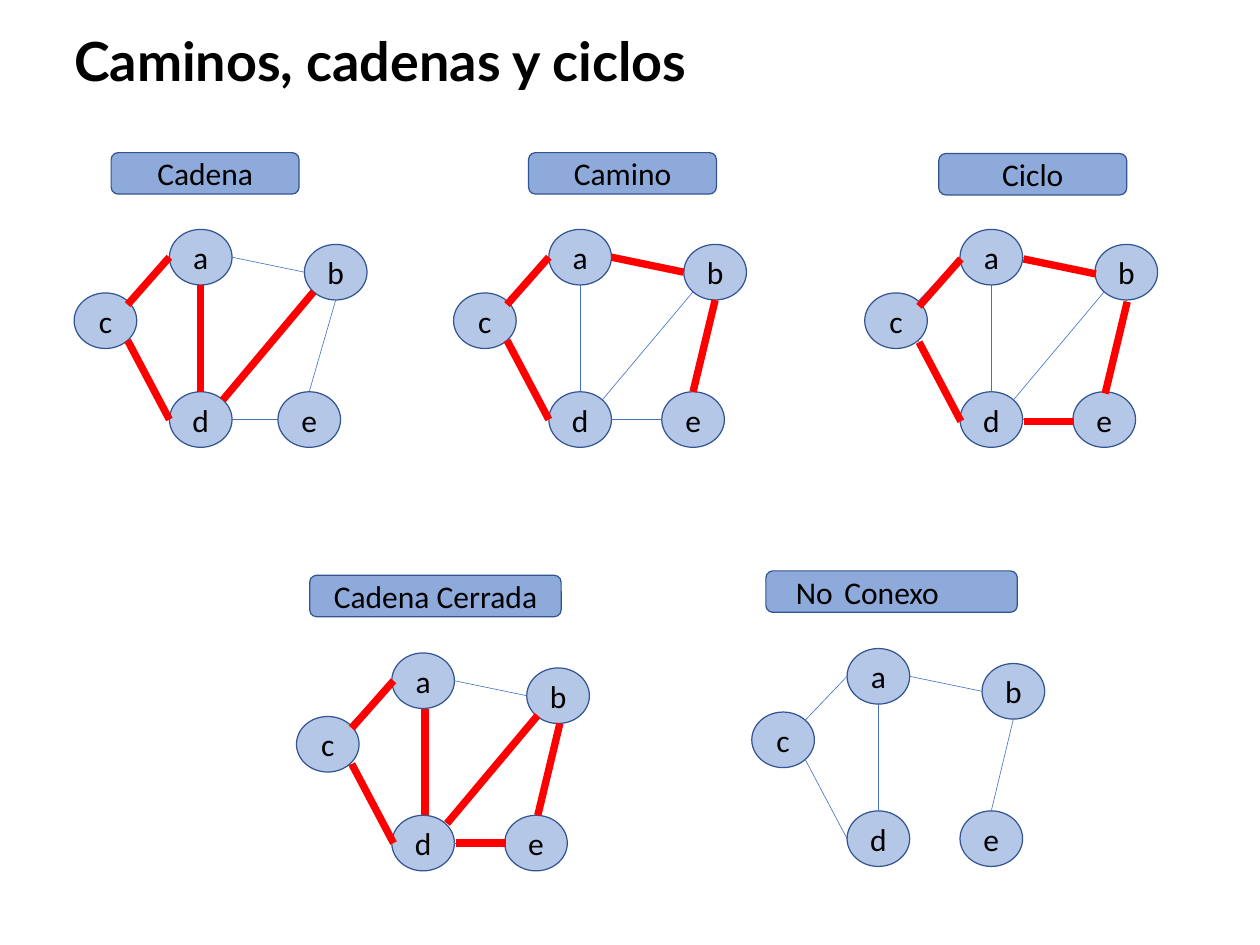
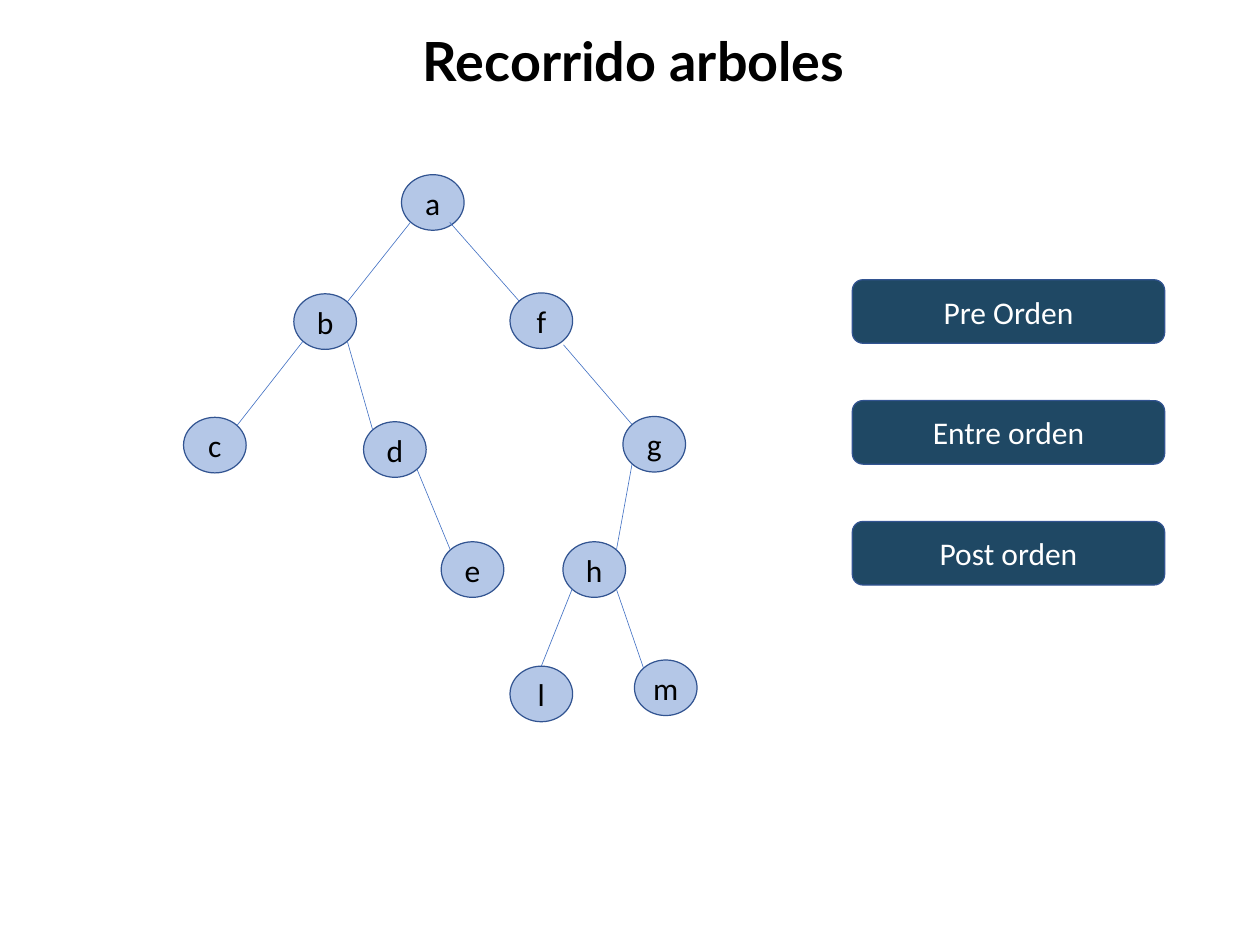
from lxml import etree
from pptx import Presentation
from pptx.dml.color import RGBColor
from pptx.enum import shapes, text
from pptx.oxml import ns
from pptx.util import Inches, Pt

COLORS = {"ink": "000000", "paper": "FFFFFF", "node": "B4C7E7", "outline": "325491",
          "edge": "4472C4", "route": "FF0000", "button": "1F4864"}
NODE_WIDTH, NODE_HEIGHT = 0.71, 0.63
DIAGONAL = 0.146
SITES = {"top": (0.5, 0), "left": (0, 0.5), "bottom": (0.5, 1), "right": (1, 0.5),
         "top left": (DIAGONAL, DIAGONAL), "top right": (1 - DIAGONAL, DIAGONAL),
         "bottom left": (DIAGONAL, 1 - DIAGONAL),
         "bottom right": (1 - DIAGONAL, 1 - DIAGONAL)}

GRAPH_NODES = {"a": (0, 0), "b": (1.53, 0.17), "c": (-1.08, 0.72),
               "d": (0, 1.84), "e": (1.28, 1.84)}
GRAPH_EDGES = {"ab": ("right", "left"), "ca": ("top right", "left"),
               "cd": ("bottom right", "left"), "ad": ("bottom", "top"),
               "bd": ("bottom left", "top right"), "be": ("bottom", "top"),
               "de": ("right", "left")}
ALL_EDGES = list(GRAPH_EDGES)
GRAPHS = [
    ("Cadena", (1.26, 1.73, 2.13), (1.92, 2.6), 1.23, ALL_EDGES, "ca cd ad bd", (0, 0)),
    ("Camino", (5.99, 1.73, 2.13), (6.22, 2.6), 1.28, ALL_EDGES, "ca cd ab be", (0, 0)),
    ("Ciclo", (10.64, 1.74, 2.13), (10.88, 2.6), 1.28, ALL_EDGES,
     "ca cd ab be de", (0.01, 0.02)),
    ("Cadena Cerrada", (3.51, 6.52, 2.85), (4.44, 7.4), 1.28, ALL_EDGES,
     "ca cd ad bd be de", (0.02, 0)),
    ("Conexo", (8.68, 6.47, 2.85), (9.6, 7.35), 1.28,
     ["ab", "ca", "cd", "ad", "be"], "", (0, 0)),
]

TREE_NODES = {"a": (4.55, 1.98), "b": (3.33, 3.33), "f": (5.78, 3.32), "c": (2.08, 4.73),
              "d": (4.12, 4.78), "e": (5, 6.14), "l": (5.78, 7.55), "g": (7.06, 4.72),
              "h": (6.38, 6.14), "m": (7.19, 7.48)}
TREE_EDGES = {"ab": ("bottom left", "top right"), "af": ("bottom right", "top left"),
              "bc": ("bottom left", "top right"), "bd": ("bottom right", "top left"),
              "de": ("bottom right", "top left"), "fg": ("bottom right", "top left"),
              "gh": ("bottom left", "top right"), "hl": ("bottom left", "top"),
              "hm": ("bottom right", "top left")}
START_NUDGES = {"af": (-0.06, 0), "fg": (0, 0.05)}


def rgb(name):
    """Return the named colour."""
    return RGBColor.from_string(COLORS[name])


def write(shape, words, color="ink", align=text.PP_ALIGN.CENTER,
          size=25.7, font="Calibri", bold=False):
    """Put one formatted paragraph in a shape."""
    shape.text_frame.text = words
    para = shape.text_frame.paragraphs[0]
    para.alignment = align
    para.font.name, para.font.size, para.font.bold = font, Pt(size), bold
    para.font.color.rgb = rgb(color)
    return para


def add_page(deck, title, align):
    """Add a page with its formatted title."""
    page = deck.slides.add_slide(deck.slide_layouts.get_by_name("Title Only"))
    box = page.shapes.title
    box.left, box.top, box.width, box.height = map(Inches, (0.84, 0.39, 12.79, 0.72))
    frame = box.text_frame
    frame.auto_size = text.MSO_AUTO_SIZE.NONE
    frame.vertical_anchor = text.MSO_ANCHOR.MIDDLE
    frame.margin_left = frame.margin_top = 0
    frame.margin_right, frame.margin_bottom = Inches(0.1), Inches(0.05)
    write(box, title, align=align, size=44, font="Lato", bold=True).line_spacing = 0.9
    return page


def add_block(page, kind, place, words, fill, color="ink", alpha=None):
    """Add an outlined shape with centred words."""
    block = page.shapes.add_shape(kind, *map(Inches, place))
    block.shadow.inherit = False
    block.fill.solid()
    block.fill.fore_color.rgb = rgb(fill)
    if alpha:
        tint = block.fill._xPr.find(".//" + ns.qn("a:srgbClr"))
        etree.SubElement(tint, ns.qn("a:alpha"), val=str(alpha * 1000))
    block.line.color.rgb = rgb("outline")
    block.line.width = Pt(1)
    block.text_frame.vertical_anchor = text.MSO_ANCHOR.MIDDLE
    write(block, words, color)


def add_nodes(page, nodes):
    """Add one lettered ellipse per node."""
    for name, (left, top) in nodes.items():
        add_block(page, shapes.MSO_SHAPE.OVAL, (left, top, NODE_WIDTH, NODE_HEIGHT),
                  name, "node")


def site_point(corner, site, shift):
    """Return the point of a connection site on a node."""
    across, down = SITES[site]
    return (corner[0] + across * NODE_WIDTH + shift[0],
            corner[1] + down * NODE_HEIGHT + shift[1])


def add_edge(page, nodes, edge, sites, color="edge", width=0.5,
             start_shift=(0, 0), end_shift=(0, 0)):
    """Draw a line between the sites of two nodes."""
    start = site_point(nodes[edge[0]], sites[0], start_shift)
    end = site_point(nodes[edge[1]], sites[1], end_shift)
    line = page.shapes.add_connector(shapes.MSO_CONNECTOR.STRAIGHT,
                                     *map(Inches, start + end))
    line.line.color.rgb = rgb(color)
    line.line.width = Pt(width)
    etree.SubElement(line._element.spPr, ns.qn("a:effectLst"))


def add_graph(page, label, label_place, origin, e_offset, edges, route, shift):
    """Add a labelled graph with its highlighted route."""
    add_block(page, shapes.MSO_SHAPE.ROUNDED_RECTANGLE, (*label_place, 0.47),
              label, "edge", alpha=60)
    offsets = {**GRAPH_NODES, "e": (e_offset, GRAPH_NODES["e"][1])}
    nodes = {name: (origin[0] + across, origin[1] + down)
             for name, (across, down) in offsets.items()}
    add_nodes(page, nodes)
    for edge in edges:
        add_edge(page, nodes, edge, GRAPH_EDGES[edge])
    for edge in route.split():
        drop = 0.04 if edge == "ca" else 0
        add_edge(page, nodes, edge, GRAPH_EDGES[edge], "route", 6,
                 (shift[0], shift[1] + drop), shift)


def add_graph_page(deck):
    """Build the page of paths, chains and cycles."""
    page = add_page(deck, "Caminos, cadenas y ciclos", text.PP_ALIGN.LEFT)
    for graph in GRAPHS:
        add_graph(page, *graph)
    box = page.shapes.add_textbox(*map(Inches, (8.92, 6.44, 0.62, 0.53)))
    box.text_frame.word_wrap = False
    write(box, "No", align=text.PP_ALIGN.LEFT)


def add_tree_page(deck):
    """Build the page of tree traversals."""
    page = add_page(deck, "Recorrido arboles", text.PP_ALIGN.CENTER)
    add_nodes(page, TREE_NODES)
    for edge, sites in TREE_EDGES.items():
        add_edge(page, TREE_NODES, edge, sites,
                 start_shift=START_NUDGES.get(edge, (0, 0)))
    for row, words in enumerate(("Pre Orden", "Entre orden", "Post orden")):
        add_block(page, shapes.MSO_SHAPE.ROUNDED_RECTANGLE,
                  (9.66, 3.17 + row * 1.37, 3.54, 0.72), words, "button", "paper")


def main():
    """Build and save the deck."""
    deck = Presentation()
    deck.slide_width, deck.slide_height = Inches(14.28), Inches(10.71)
    add_graph_page(deck)
    add_tree_page(deck)
    deck.save("out.pptx")


if __name__ == "__main__":
    main()
